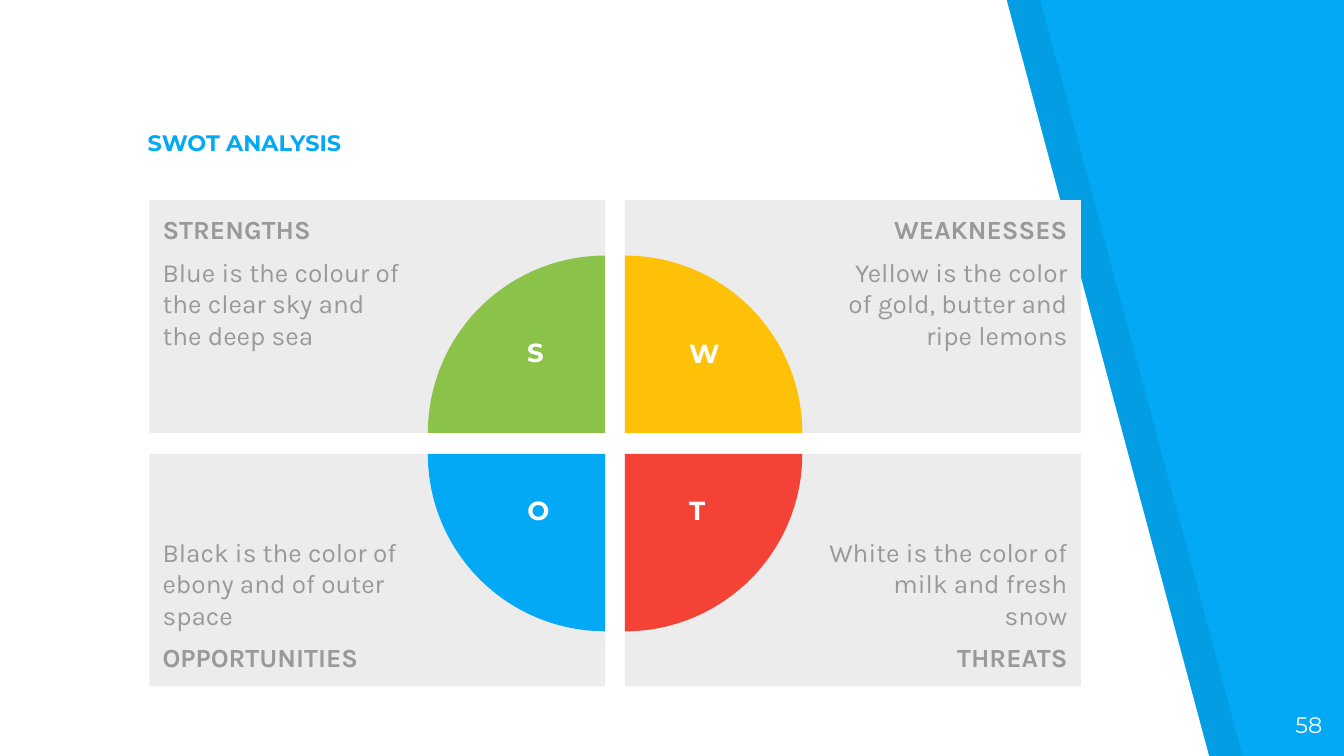
import pptx
import pptx.dml.color
import pptx.enum.shapes
import pptx.enum.text
import pptx.oxml
import pptx.oxml.ns
import pptx.util

Pt = pptx.util.Pt
SHAPES = pptx.enum.shapes.MSO_SHAPE
ALIGN = pptx.enum.text.PP_ALIGN
ANCHOR = pptx.enum.text.MSO_ANCHOR

SLIDE_W, SLIDE_H = 720, 405
BLUE, WHITE, PANEL_GREY, TEXT_GREY = "03A9F4", "FFFFFF", "ECECEC", "999999"

# Panel grid; each quarter circle is centred on its panel's inner corner
GRID_LEFT, GRID_TOP = 80, 107.3
PANEL_W, PANEL_H = 244.2, 124.6
GAP_X, GAP_Y = 10.6, 11.3
RADIUS = 95
INSET, WIDE_INSET = 7.2, 108

# column, row, heading, description, letter, colour, letter box
QUADRANTS = [
    (0, 0, "STRENGTHS", "Blue is the colour of the clear sky and the deep sea",
     "S", "8BC34A", (272.9, 176.4, 28, 35)),
    (1, 0, "WEAKNESSES", "Yellow is the color of gold, butter and ripe lemons",
     "W", "FFC107", (349.9, 177, 55, 34)),
    (1, 1, "THREATS", "White is the color of milk and fresh snow",
     "T", "F44336", (358.6, 261.4, 30, 34)),
    (0, 1, "OPPORTUNITIES", "Black is the color of ebony and of outer space",
     "O", BLUE, (270, 261.4, 37, 35)),
]


def paint(fill, color):
    fill.solid()
    fill.fore_color.rgb = pptx.dml.color.RGBColor.from_string(color)


def style_shape(shape, color):
    shape.shadow.inherit = False
    paint(shape.fill, color)
    shape.line.fill.background()


def set_frame(frame, left=INSET, right=INSET, top=INSET, bottom=INSET, anchor=ANCHOR.TOP):
    frame.word_wrap = True
    frame.margin_left, frame.margin_right = Pt(left), Pt(right)
    frame.margin_top, frame.margin_bottom = Pt(top), Pt(bottom)
    frame.vertical_anchor = anchor


def write(frame, text, size=14, font="Montserrat", color=WHITE, bold=False,
          align=ALIGN.LEFT, before=0, after=0):
    """Fill the first paragraph if it is empty, otherwise add one."""
    paragraph = frame.paragraphs[0] if not frame.text else frame.add_paragraph()
    paragraph.alignment = align
    paragraph.space_before, paragraph.space_after = Pt(before), Pt(after)
    run = paragraph.add_run()
    run.text = text
    run.font.name, run.font.size, run.font.bold = font, Pt(size), bold
    paint(run.font.fill, color)


def add_label(slide, box, text, margins=None, **text_format):
    frame = slide.shapes.add_textbox(*map(Pt, box)).text_frame
    set_frame(frame, **(margins or {}))
    write(frame, text, **text_format)


def add_slanted_area(slide, left, color, opacity=100):
    outline = slide.shapes.build_freeform(Pt(left), Pt(0))
    corners = [(left, SLIDE_H), (left + 647.7, SLIDE_H), (left + 539.3, 0)]
    outline.add_line_segments([(Pt(x), Pt(y)) for x, y in corners], close=True)
    area = outline.convert_to_shape()
    style_shape(area, color)
    if opacity < 100:
        rgb = area.fill._xPr.find(".//" + pptx.oxml.ns.qn("a:srgbClr"))
        alpha = pptx.oxml.parse_xml(
            f'<a:alpha {pptx.oxml.ns.nsdecls("a")} val="{opacity * 1000}"/>')
        rgb.append(alpha)


def add_panel(slide, column, row, heading, description):
    left = GRID_LEFT + column * (PANEL_W + GAP_X)
    top = GRID_TOP + row * (PANEL_H + GAP_Y)
    panel = slide.shapes.add_shape(
        SHAPES.RECTANGLE, Pt(left), Pt(top), Pt(PANEL_W), Pt(PANEL_H))
    style_shape(panel, PANEL_GREY)
    set_frame(panel.text_frame,
              left=WIDE_INSET if column else INSET,
              right=INSET if column else WIDE_INSET,
              anchor=ANCHOR.BOTTOM if row else ANCHOR.TOP)
    # The heading sits on the outer edge: first on top, last below
    lines = [(heading, True), (description, False)]
    if row:
        lines.reverse()
    for index, (text, bold) in enumerate(lines):
        spacing = 6 if index else 0
        write(panel.text_frame, text, font="Karla", color=TEXT_GREY, bold=bold,
              align=ALIGN.RIGHT if column else ALIGN.LEFT,
              before=spacing, after=spacing)


def add_quarter(slide, column, row, color, rotation):
    center_x = GRID_LEFT + PANEL_W + column * GAP_X
    center_y = GRID_TOP + PANEL_H + row * GAP_Y
    quarter = slide.shapes.add_shape(
        SHAPES.PIE, Pt(center_x - RADIUS), Pt(center_y - RADIUS),
        Pt(2 * RADIUS), Pt(2 * RADIUS))
    # Angles from 180 to 270 degrees
    quarter.adjustments[0], quarter.adjustments[1] = 108, 162
    quarter.rotation = rotation
    style_shape(quarter, color)


def main():
    deck = pptx.Presentation()
    deck.slide_width, deck.slide_height = Pt(SLIDE_W), Pt(SLIDE_H)
    slide = deck.slides.add_slide(deck.slide_layouts[6])

    # Background: blue with a white slanted area and its darker edge
    paint(slide.background.fill, BLUE)
    add_slanted_area(slide, 18, "000000", opacity=7)
    add_slanted_area(slide, 0, WHITE)

    # Title and page number
    add_label(slide, (72, 58.3, 378, 32.4), "SWOT ANALYSIS",
              margins={"anchor": ANCHOR.BOTTOM}, size=12, color=BLUE, bold=True)
    add_label(slide, (672.5, 373.7, 43, 31), "58", size=12, align=ALIGN.RIGHT)

    # Panels, then the quarter circles clockwise, then their letters
    for column, row, heading, description, *_ in QUADRANTS:
        add_panel(slide, column, row, heading, description)
    for turn, (column, row, _, _, _, color, _) in enumerate(QUADRANTS):
        add_quarter(slide, column, row, color, turn * 90)
    for *_, letter, _, box in QUADRANTS:
        add_label(slide, box, letter, bold=True, align=ALIGN.CENTER,
                  margins={"left": 0, "right": 0, "top": 3.6, "bottom": 3.6})

    deck.save("out.pptx")


if __name__ == "__main__":
    main()
